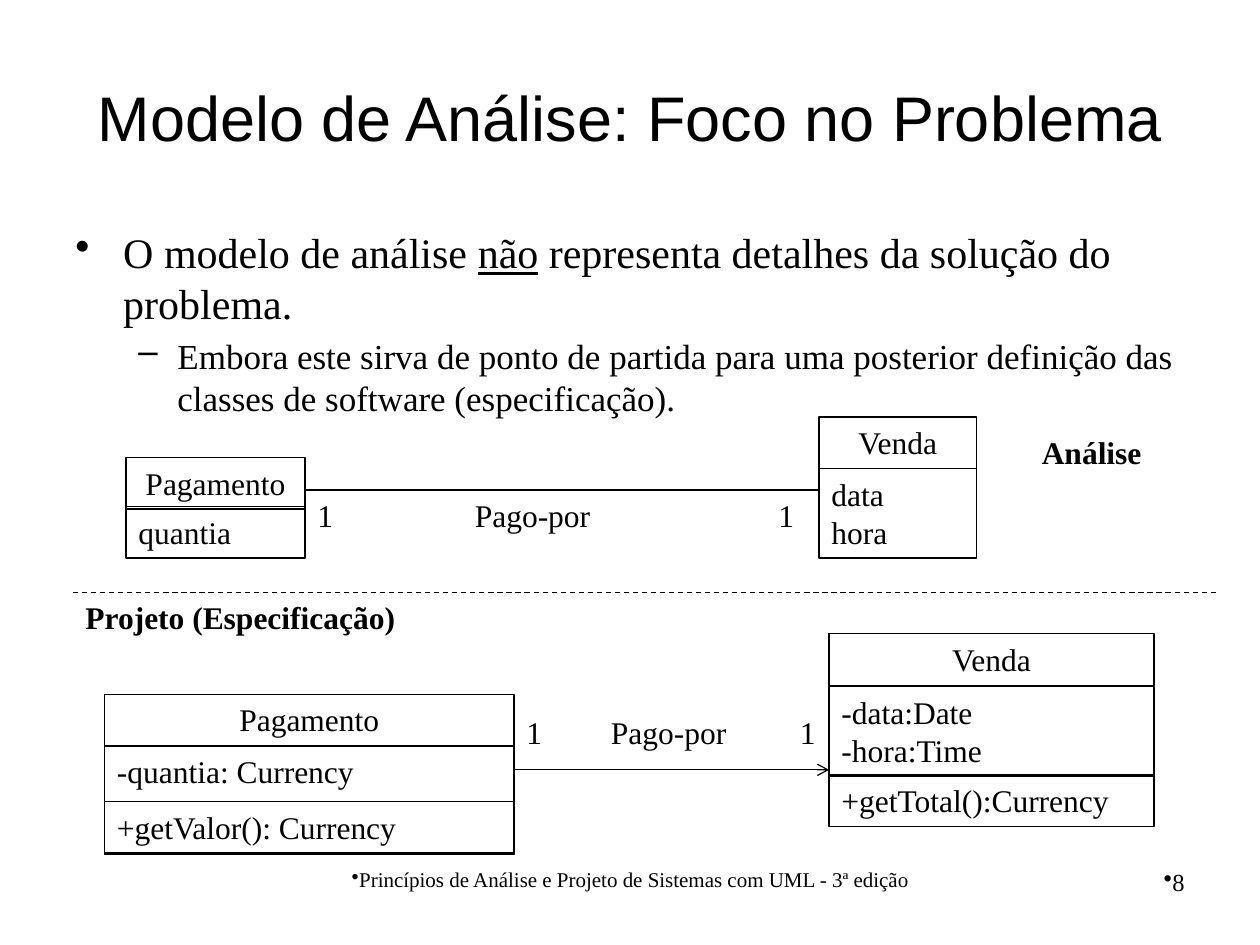
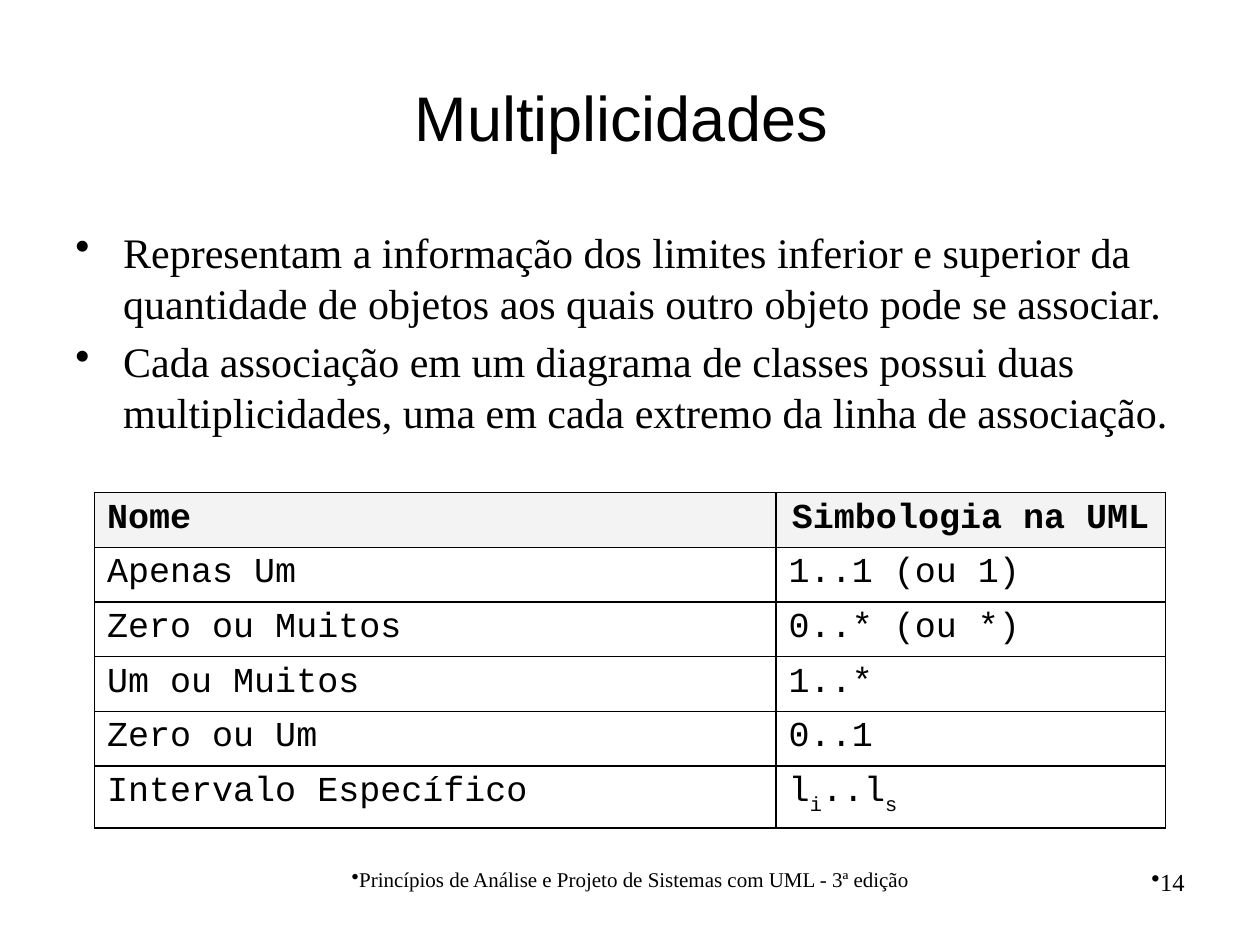
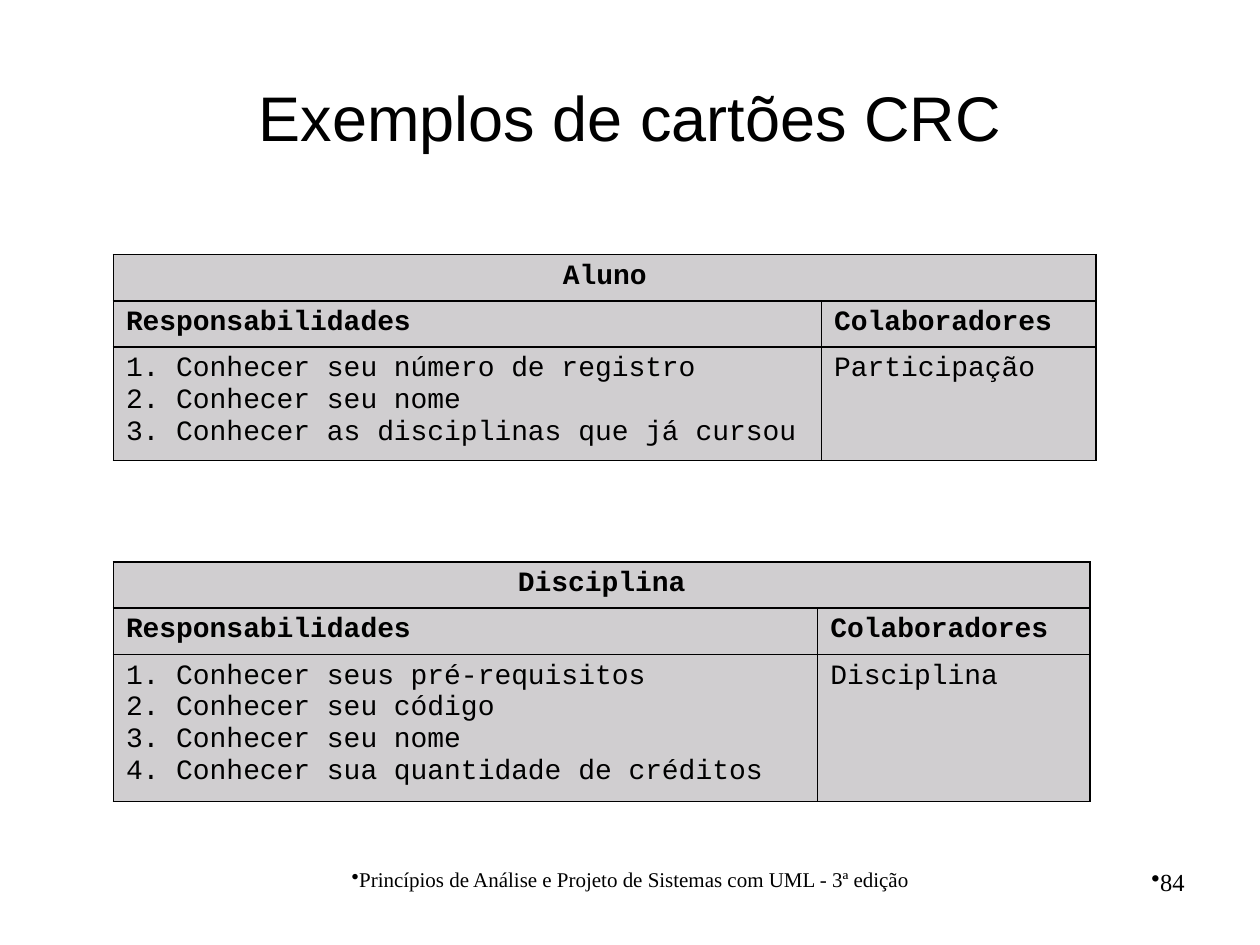
from dataclasses import dataclass

from lxml import etree
from pptx import Presentation
from pptx.dml.color import RGBColor
from pptx.enum.dml import MSO_LINE
from pptx.enum.shapes import MSO_CONNECTOR, MSO_SHAPE
from pptx.enum.text import MSO_ANCHOR, PP_ALIGN
from pptx.oxml.ns import qn
from pptx.util import Inches, Pt

LEFT, CENTER, RIGHT, JUSTIFY = PP_ALIGN.LEFT, PP_ALIGN.CENTER, PP_ALIGN.RIGHT, PP_ALIGN.JUSTIFY
TOP, MIDDLE = MSO_ANCHOR.TOP, MSO_ANCHOR.MIDDLE
STRAIGHT, RECTANGLE, DASH = MSO_CONNECTOR.STRAIGHT, MSO_SHAPE.RECTANGLE, MSO_LINE.DASH


@dataclass(frozen=True)
class Theme:
    ink: str = "000000"
    header_fill: str = "F3F3F3"
    card_fill: str = "D0CED0"
    title_font: str = "Arial"
    body_font: str = "Times New Roman"
    code_font: str = "Courier New"
    title_size: int = 36
    label_size: int = 18
    table_size: int = 20
    card_size: int = 16
    footer_size: int = 12
    number_size: int = 14
    line_width: float = 0.75
    border_width: float = 1


THEME = Theme()

# Shared layout
FOOTER = "Princípios de Análise e Projeto de Sistemas com UML - 3ª edição"
FOOTER_BOX = (1.92, 6.83, 6.17, 0.52)
NUMBER_BOX = (8.17, 6.83, 1.33, 0.52)
TITLE_BOX = (0.5, 0.3, 9, 1.25)
BODY_BOX = (0.5, 1.75, 9, 4.95)
# Level: bullet, margin, hanging indent, type size
LEVELS = [("•", 0.38, -0.38, 24), ("–", 0.81, -0.31, 20)]

# Slide 1 content: each run is (text, font formats)
ANALYSIS_BODY = [
    (0, [("O modelo de análise ", {}), ("não", {"underline": True}),
         (" representa detalhes da solução do problema.", {})]),
    (1, [("Embora este sirva de ponto de partida para uma posterior definição "
          "das classes de software (especificação).", {})]),
]
# Class: left, width, compartments of (text, top, height)
CLASSES = [
    (6.5, 1.25, [("Venda", 3.31, 0.41), ("data\nhora", 3.72, 0.71)]),
    (6.58, 2.58, [("Venda", 5.03, 0.41), ("-data:Date\n-hora:Time", 5.45, 0.71),
                  ("+getTotal():Currency", 6.15, 0.41)]),
    (1, 1.42, [("Pagamento", 3.63, 0.41), ("quantia", 4.02, 0.41)]),
    (0.83, 3.25, [("Pagamento", 5.51, 0.41), ("-quantia: Currency", 5.92, 0.86),
                  ("+getValor(): Currency", 6.36, 0.41)]),
]
# Association: line start, line end, line height, label top, name left, arrow
ASSOCIATIONS = [
    (2.42, 6.5, 3.89, 3.89, 3.67, 6.08, False),
    (4.08, 6.58, 6.11, 5.61, 4.75, 6.25, True),
]
LABEL_HEIGHT = 0.4
DIVIDER = (0.58, 9.67, 4.7)
SECTION_LABELS = [
    ("Projeto (Especificação)", (0.58, 4.7, 4, LABEL_HEIGHT)),
    ("Análise", (8.17, 3.39, 1.5, LABEL_HEIGHT)),
]

# Slide 2 content
MULTIPLICITY_BODY = [
    (0, [("Representam a informação dos limites inferior e superior da quantidade "
          "de objetos aos quais outro objeto pode se associar.", {})]),
    (0, [("Cada associação em um diagrama de classes possui duas multiplicidades, "
          "uma em cada extremo da linha de associação.", {})]),
]
MULTIPLICITIES = [
    ("Nome", "Simbologia na UML"),
    ("Apenas Um", "1..1 (ou 1)"),
    ("Zero ou Muitos", "0..* (ou *)"),
    ("Um ou Muitos", "1..*"),
    ("Zero ou Um", "0..1"),
    ("Intervalo Específico", [("l", {}), ("i", {"subscript": True}),
                              ("..l", {}), ("s", {"subscript": True})]),
]

# Slide 3 content: class, responsibilities, collaborator, top, column widths
CARDS = [
    ("Aluno",
     ["Conhecer seu número de registro", "Conhecer seu nome",
      "Conhecer as disciplinas que já cursou"],
     "Participação", 2.02, (5.62, 2.18)),
    ("Disciplina",
     ["Conhecer seus pré-requisitos", "Conhecer seu código", "Conhecer seu nome",
      "Conhecer sua quantidade de créditos"],
     "Disciplina", 4.46, (5.59, 2.16)),
]
CARD_LEFT, CARD_LINE, CARD_PADDING = 0.9, 0.25, 0.1


def color(value):
    return RGBColor.from_string(value)


def write(paragraph, content, font, size, alignment=LEFT, **extra):
    """Fill a paragraph from a string or from a list of runs."""
    paragraph.alignment = alignment
    if isinstance(content, str):
        paragraph.text = content
        runs = [(run, {}) for run in paragraph.runs]
    else:
        runs = []
        for text, formats in content:
            run = paragraph.add_run()
            run.text = text
            runs.append((run, formats))
    for run, formats in runs:
        values = {"name": font, "size": Pt(size), **extra, **formats}
        if values.pop("subscript", False):
            run._r.get_or_add_rPr().set("baseline", "-30000")
        for name, value in values.items():
            setattr(run.font, name, value)
        run.font.color.rgb = color(THEME.ink)


def set_bullet(paragraph, character, margin=0, indent=0):
    properties = paragraph._p.get_or_add_pPr()
    properties.set("marL", str(Inches(margin)))
    properties.set("indent", str(Inches(indent)))
    etree.SubElement(properties, qn("a:buChar")).set("char", character)


def add_text(slide, box, content, font=THEME.body_font, size=THEME.label_size,
             alignment=LEFT, anchor=TOP, **extra):
    frame = slide.shapes.add_textbox(*map(Inches, box)).text_frame
    frame.word_wrap = True
    frame.vertical_anchor = anchor
    write(frame.paragraphs[0], content, font, size, alignment, **extra)
    return frame.paragraphs[0]


def add_line(slide, start, end, height, dash=None, arrow=False):
    connector = slide.shapes.add_connector(
        STRAIGHT, *map(Inches, (start, height, end, height)))
    connector.line.color.rgb = color(THEME.ink)
    connector.line.width = Pt(THEME.line_width)
    if dash:
        connector.line.dash_style = dash
    if arrow:
        tail = etree.SubElement(connector.line._get_or_add_ln(), qn("a:tailEnd"))
        tail.set("type", "arrow")
    etree.SubElement(connector._element.spPr, qn("a:effectLst"))


def add_body(slide, paragraphs):
    frame = slide.shapes.add_textbox(*map(Inches, BODY_BOX)).text_frame
    frame.word_wrap = True
    for index, (level, runs) in enumerate(paragraphs):
        paragraph = frame.add_paragraph() if index else frame.paragraphs[0]
        character, margin, indent, size = LEVELS[level]
        paragraph.level = level
        paragraph.space_before = Pt(size * 0.2)
        write(paragraph, runs, THEME.body_font, size)
        set_bullet(paragraph, character, margin, indent)


def add_class(slide, left, width, compartments):
    for index, (text, top, height) in enumerate(compartments):
        shape = slide.shapes.add_shape(RECTANGLE, *map(Inches, (left, top, width, height)))
        shape.shadow.inherit = False
        shape.fill.background()
        shape.line.color.rgb = color(THEME.ink)
        shape.line.width = Pt(THEME.line_width)
        shape.text_frame.word_wrap = True
        shape.text_frame.vertical_anchor = TOP
        write(shape.text_frame.paragraphs[0], text, THEME.body_font, THEME.label_size,
              LEFT if index else CENTER)


def add_borders(cell):
    properties = cell._tc.get_or_add_tcPr()
    for index, side in enumerate(("lnL", "lnR", "lnT", "lnB")):
        line = etree.Element(qn(f"a:{side}"), w=str(Pt(THEME.border_width)))
        fill = etree.SubElement(line, qn("a:solidFill"))
        etree.SubElement(fill, qn("a:srgbClr")).set("val", THEME.ink)
        properties.insert(index, line)


def add_table(slide, left, top, widths, heights):
    box = (left, top, sum(widths), sum(heights))
    table = slide.shapes.add_table(len(heights), len(widths), *map(Inches, box)).table
    table.first_row = table.horz_banding = False
    for column, width in zip(table.columns, widths):
        column.width = Inches(width)
    for row, height in zip(table.rows, heights):
        row.height = Inches(height)
    return table


def fill_cell(cell, lines, size, fill=None, alignment=LEFT, bold=False):
    if fill:
        cell.fill.solid()
        cell.fill.fore_color.rgb = color(fill)
    else:
        cell.fill.background()
    add_borders(cell)
    for index, line in enumerate(lines):
        frame = cell.text_frame
        paragraph = frame.add_paragraph() if index else frame.paragraphs[0]
        write(paragraph, line, THEME.code_font, size, alignment, bold=bold)


def add_card(slide, name, responsibilities, collaborator, top, widths):
    numbered = [f"{number}. {text}" for number, text in enumerate(responsibilities, 1)]
    rows = [([name], []), (["Responsabilidades"], ["Colaboradores"]),
            (numbered, [collaborator])]
    heights = [CARD_PADDING + CARD_LINE * len(row[0]) for row in rows]
    table = add_table(slide, CARD_LEFT, top, widths, heights)
    table.cell(0, 0).merge(table.cell(0, 1))
    for row_index, row in enumerate(rows):
        for column_index, lines in enumerate(row):
            fill_cell(table.cell(row_index, column_index), lines, THEME.card_size,
                      THEME.card_fill, LEFT if row_index else CENTER, row_index < 2)


def start_slide(presentation, title, number):
    slide = presentation.slides.add_slide(presentation.slide_layouts[6])
    footer = add_text(slide, FOOTER_BOX, FOOTER, size=THEME.footer_size, alignment=CENTER)
    page = add_text(slide, NUMBER_BOX, number, size=THEME.number_size, alignment=RIGHT)
    for paragraph in (footer, page):
        set_bullet(paragraph, "•")
    add_text(slide, TITLE_BOX, title, THEME.title_font, THEME.title_size, CENTER, MIDDLE)
    return slide


def build_analysis(presentation):
    slide = start_slide(presentation, "Modelo de Análise: Foco no Problema", "8")
    add_body(slide, ANALYSIS_BODY)
    for uml_class in CLASSES:
        add_class(slide, *uml_class)
    for start, end, height, label_top, name_left, end_left, arrow in ASSOCIATIONS:
        add_line(slide, start, end, height, arrow=arrow)
        for text, left, width in (("1", start, 0.33), ("1", end_left, 0.33),
                                  ("Pago-por", name_left, 1.42)):
            add_text(slide, (left, label_top, width, LABEL_HEIGHT), text)
    add_line(slide, *DIVIDER, dash=DASH)
    for text, box in SECTION_LABELS:
        add_text(slide, box, text, bold=True)


def build_multiplicities(presentation):
    slide = start_slide(presentation, "Multiplicidades ", "14")
    add_body(slide, MULTIPLICITY_BODY)
    table = add_table(slide, 0.75, 3.91, (5.41, 3.09), [0.42] * len(MULTIPLICITIES))
    for row_index, row in enumerate(MULTIPLICITIES):
        header = row_index == 0
        alignments = (JUSTIFY, CENTER if header else LEFT)
        for column_index, content in enumerate(row):
            fill_cell(table.cell(row_index, column_index), [content], THEME.table_size,
                      THEME.header_fill if header else None,
                      alignments[column_index], header)


def build_cards(presentation):
    slide = start_slide(presentation, "Exemplos de cartões CRC", "84")
    for card in CARDS:
        add_card(slide, *card)


def main():
    presentation = Presentation()
    presentation.slide_width, presentation.slide_height = Inches(10), Inches(7.5)
    build_analysis(presentation)
    build_multiplicities(presentation)
    build_cards(presentation)
    presentation.save("out.pptx")


if __name__ == "__main__":
    main()
